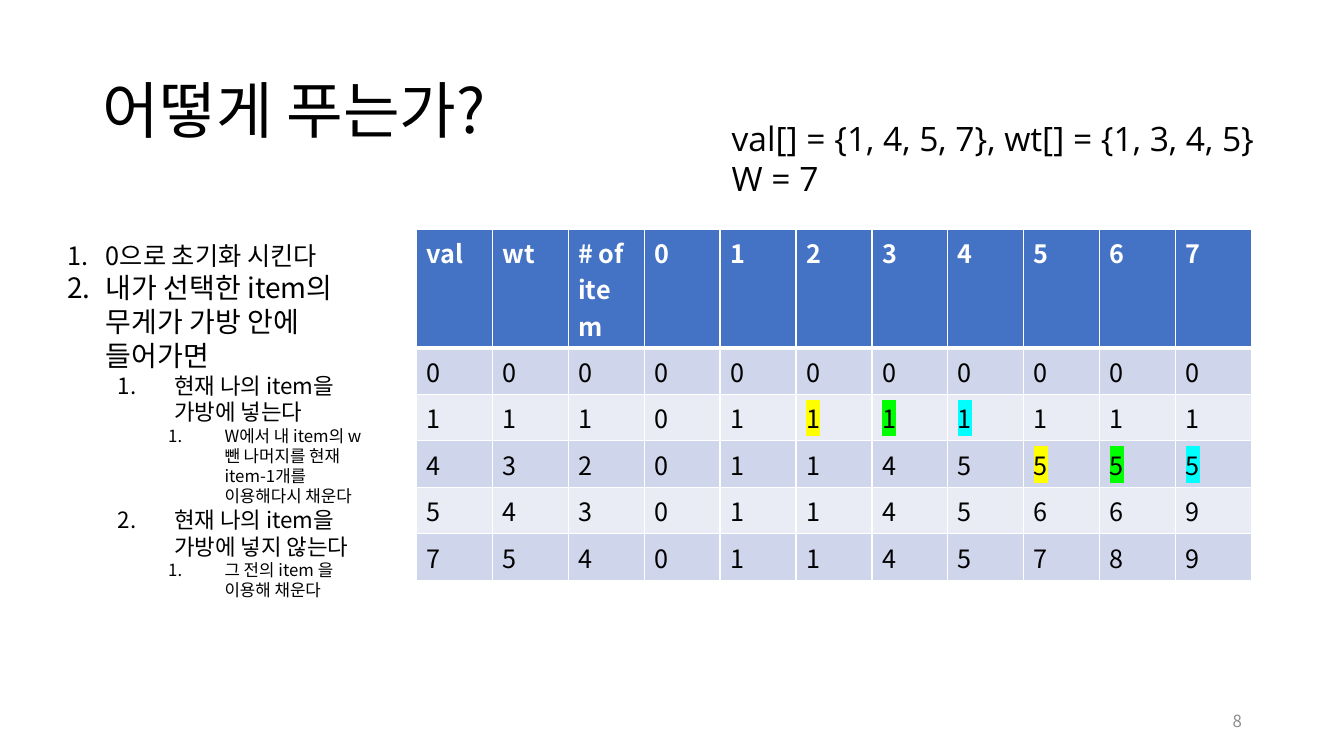
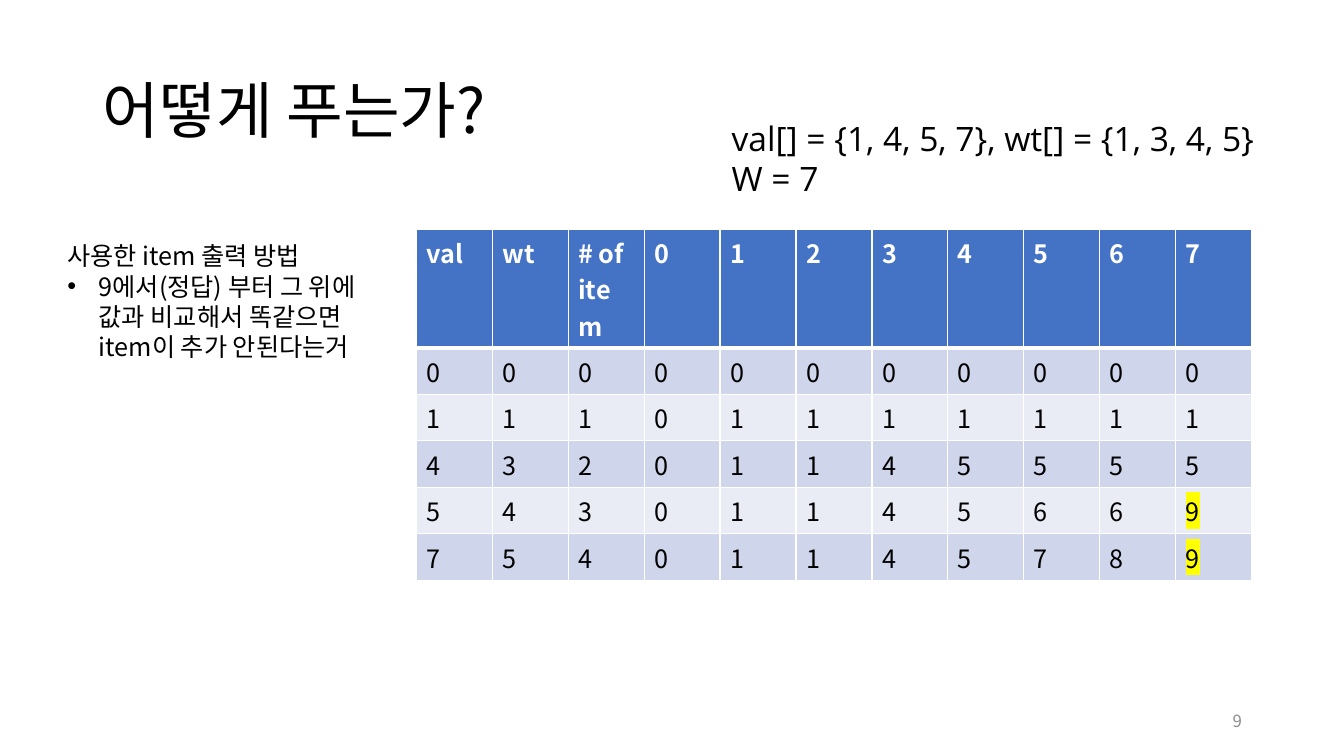
"""Build two slides that solve a knapsack problem with a table."""
from dataclasses import dataclass, field

from lxml.etree import SubElement
from pptx import Presentation
from pptx.dml.color import RGBColor
from pptx.enum.text import MSO_ANCHOR, MSO_AUTO_SIZE, PP_ALIGN
from pptx.oxml.ns import qn
from pptx.slide import Slide
from pptx.table import _Cell
from pptx.text.text import _Paragraph
from pptx.util import Cm, Pt

COLORS = {
    "black": "000000",
    "white": "FFFFFF",
    "gray": "8C8C8C",
    "head": "4472C4",
    "dark": "CFD5EA",
    "light": "E9EBF5",
    "yellow": "FFFF00",
    "green": "00FF00",
    "cyan": "00FFFF",
}
SANS = "Noto Sans CJK KR"
OPEN = "Open Sans"
HEAD = ["val", "wt", "# of item", *"01234567"]
BODY = ["00000000000", "11101111111", "43201145555", "54301145669", "75401145789"]
ROWS = [HEAD, *map(list, BODY)]
TALL, LOW = 3, 1.17
EDGES = ("lnL", "lnR", "lnT", "lnB")


@dataclass
class Line:
    text: str
    size: float = 18
    font: str = SANS
    color: str = "black"
    bold: bool = False
    level: int = 0
    left: float = 0
    hang: float = 0
    bullet: str = ""


@dataclass
class Box:
    left: float
    top: float
    width: float
    height: float
    lines: list[Line]
    middle: bool = False
    align: PP_ALIGN = PP_ALIGN.LEFT
    space: float = 1
    grow: bool = False


@dataclass
class Page:
    number: int
    height: float
    notes: list[Line]
    marks: dict[tuple[int, int], str] = field(default_factory=dict)


def step(text: str, size: float, level: int = 0) -> Line:
    left, hang = ((0.97, 0.97), (2.69, 1.42), (3.96, 1.42))[level]
    return Line(text, size, level=level, left=left, hang=hang, bullet="1.")


PAGES = [
    Page(8, 10.19, [
        step("0으로 초기화 시킨다", 18),
        step("내가 선택한 item의 무게가 가방 안에 들어가면", 20),
        step("현재 나의 item을 가방에 넣는다", 16, 1),
        step("W에서 내 item의 w 뺀 나머지를 현재 item-1개를 이용해다시 채운다", 12, 2),
        step("현재 나의 item을 가방에 넣지 않는다", 16, 1),
        step("그 전의 item 을 이용해 채운다", 12, 2),
    ], {
        (row, col + shift): color
        for row, col in ((2, 5), (3, 8))
        for shift, color in enumerate(("yellow", "green", "cyan"))
    }),
    Page(9, 4.88, [
        Line("사용한 item 출력 방법"),
        Line("9에서(정답) 부터 그 위에 값과 비교해서 똑같으면 item이 추가 안된다는거",
             left=0.79, hang=0.79, bullet="•"),
    ], {(4, 10): "yellow", (5, 10): "yellow"}),
]


def tint(name: str) -> RGBColor:
    return RGBColor.from_string(COLORS[name])


def write(para: _Paragraph, line: Line) -> None:
    para.text = line.text
    para.level = line.level
    font = para.font
    font.size = Pt(line.size)
    font.name = line.font
    font.bold = line.bold
    font.color.rgb = tint(line.color)
    props = para._p.get_or_add_pPr()
    base = props.find(qn("a:defRPr"))
    SubElement(base, qn("a:ea"), typeface=line.font)
    if line.bullet:
        props.set("marL", str(Cm(line.left)))
        props.set("indent", str(-Cm(line.hang)))
        if line.bullet == "•":
            base.addprevious(SubElement(props, qn("a:buFont"), typeface="Arial"))
            mark = SubElement(props, qn("a:buChar"), char="•")
        else:
            mark = SubElement(props, qn("a:buAutoNum"), type="arabicPeriod")
        base.addprevious(mark)


def place(slide: Slide, box: Box) -> None:
    shape = slide.shapes.add_textbox(
        Cm(box.left), Cm(box.top), Cm(box.width), Cm(box.height))
    frame = shape.text_frame
    frame.word_wrap = True
    if box.grow:
        frame.auto_size = MSO_AUTO_SIZE.SHAPE_TO_FIT_TEXT
    if box.middle:
        frame.vertical_anchor = MSO_ANCHOR.MIDDLE
    for index, line in enumerate(box.lines):
        para = frame.add_paragraph() if index else frame.paragraphs[0]
        para.alignment = box.align
        para.line_spacing = box.space
        write(para, line)


def edge(cell: _Cell, row: int) -> None:
    props = cell._tc.get_or_add_tcPr()
    for index, side in enumerate(EDGES):
        thick = (row, side) in ((0, "lnB"), (1, "lnT"))
        line = SubElement(props, qn(f"a:{side}"), w=str(Pt(3 if thick else 1)))
        fill = SubElement(line, qn("a:solidFill"))
        SubElement(fill, qn("a:srgbClr"), val=COLORS["white"])
        props.insert(index, line)


def light(para: _Paragraph, color: str) -> None:
    props = para.runs[0]._r.get_or_add_rPr()
    glow = SubElement(props, qn("a:highlight"))
    SubElement(glow, qn("a:srgbClr"), val=COLORS[color])


def grid(slide: Slide, marks: dict[tuple[int, int], str]) -> None:
    table = slide.shapes.add_table(
        len(ROWS), len(HEAD), Cm(10.49), Cm(5.77),
        Cm(21.06), Cm(TALL + LOW * len(BODY))).table
    for row, texts in enumerate(ROWS):
        table.rows[row].height = Cm(LOW if row else TALL)
        fill = ("dark" if row % 2 else "light") if row else "head"
        for col, text in enumerate(texts):
            cell = table.cell(row, col)
            cell.fill.solid()
            cell.fill.fore_color.rgb = tint(fill)
            edge(cell, row)
            para = cell.text_frame.paragraphs[0]
            write(para, Line(text, color="black" if row else "white", bold=not row))
            if (row, col) in marks:
                light(para, marks[row, col])


def build(slide: Slide, page: Page) -> None:
    place(slide, Box(2.34, 1.02, 29.21, 3.68, [Line("어떻게 푸는가?", 44)],
                     middle=True, space=0.9))
    grid(slide, page.marks)
    place(slide, Box(23.93, 17.65, 7.62, 1.02,
                     [Line(str(page.number), 12, color="gray")],
                     middle=True, align=PP_ALIGN.RIGHT))
    place(slide, Box(18.19, 2.84, 16.94, 2.31, [
        Line("val[] = {1, 4, 5, 7}, wt[] = {1, 3, 4, 5}\nW = 7", 24, OPEN)], grow=True))
    place(slide, Box(1.45, 5.94, 8.28, page.height, page.notes, grow=True))


def main() -> None:
    deck = Presentation()
    deck.slide_width, deck.slide_height = Cm(33.87), Cm(19.05)
    for page in PAGES:
        build(deck.slides.add_slide(deck.slide_layouts[6]), page)
    deck.save("out.pptx")


if __name__ == "__main__":
    main()
